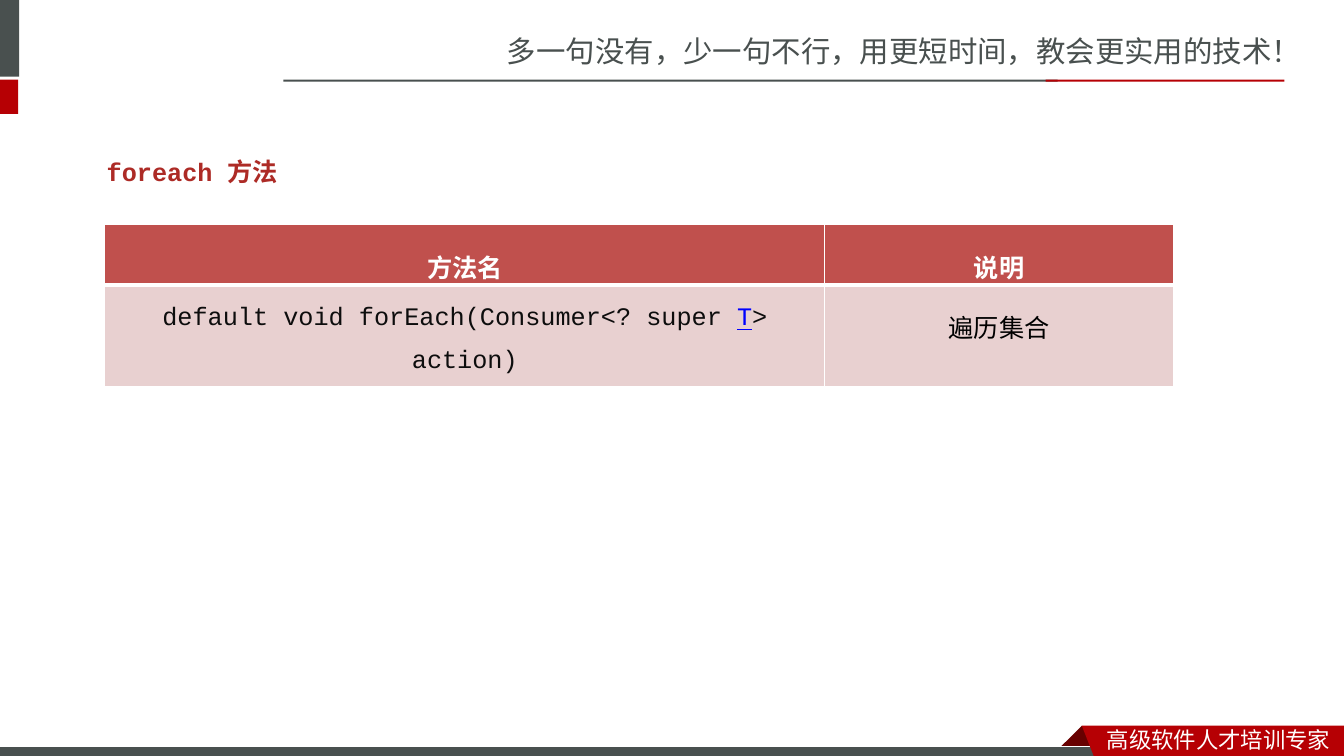
from lxml import etree
from pptx import Presentation
from pptx.dml.color import RGBColor
from pptx.enum.shapes import MSO_SHAPE
from pptx.enum.text import MSO_ANCHOR, PP_ALIGN
from pptx.oxml.ns import qn
from pptx.util import Inches, Pt

RECTANGLE = MSO_SHAPE.RECTANGLE
TOP = MSO_ANCHOR.TOP
LEFT, CENTER = PP_ALIGN.LEFT, PP_ALIGN.CENTER

WHITE = RGBColor(0xFF, 0xFF, 0xFF)
BLACK = RGBColor(0, 0, 0)
INK = RGBColor(0x0D, 0x0D, 0x0D)
GREY = RGBColor(0x49, 0x50, 0x4F)
RED = RGBColor(0xB6, 0x00, 0x04)
DARK_RED = RGBColor(0x68, 0x00, 0x00)
HEADING_RED = RGBColor(0xAD, 0x2B, 0x26)
HEADER_FILL = RGBColor(0xC0, 0x50, 0x4D)
BODY_FILL = RGBColor(0xE8, 0xD0, 0xD0)
LINK_BLUE = RGBColor(0x00, 0x00, 0xFF)

CODE_FONT = "Courier New"
CHINESE_FONT = "Noto Sans CJK SC"


class SlideBuilder:
    def __init__(self, page):
        self.page = page

    def add_spans(self, para, spans, spacing=1, align=LEFT):
        """Fill a paragraph with (text, format) spans."""
        para.line_spacing = spacing
        para.alignment = align
        for text, style in spans:
            span = para.add_run()
            span.text = text
            values = dict(style)
            span.font.color.rgb = values.pop("color")
            for name, value in values.items():
                setattr(span.font, name, value)
            east_asian = etree.SubElement(span.font._element, qn("a:ea"))
            east_asian.set("typeface", CHINESE_FONT)

    def text(self, left, top, width, height, text, style, spacing=1):
        box = self.page.shapes.add_textbox(
            Inches(left), Inches(top), Inches(width), Inches(height))
        box.text_frame.word_wrap = False
        self.add_spans(box.text_frame.paragraphs[0], [(text, style)], spacing)

    def paint(self, shape, fill, line=None):
        shape.shadow.inherit = False
        shape.fill.solid()
        shape.fill.fore_color.rgb = fill
        if line is None:
            shape.line.fill.background()
        else:
            shape.line.color.rgb = line
            shape.line.width = Pt(0.75)

    def bar(self, left, top, width, height, fill, line=None):
        shape = self.page.shapes.add_shape(
            RECTANGLE, Inches(left), Inches(top), Inches(width), Inches(height))
        self.paint(shape, fill, line)

    def outline(self, points, fill):
        corners = [(Inches(x), Inches(y)) for x, y in points]
        builder = self.page.shapes.build_freeform(*corners[0])
        builder.add_line_segments(corners[1:], close=True)
        self.paint(builder.convert_to_shape(), fill)

    def borders(self, cell, widths):
        """Draw white cell borders, widths in points by side."""
        properties = cell._tc.get_or_add_tcPr()
        for index, (side, width) in enumerate(widths.items()):
            line = etree.Element(qn(f"a:ln{side}"), w=str(Pt(width)))
            fill = etree.SubElement(line, qn("a:solidFill"))
            etree.SubElement(fill, qn("a:srgbClr"), val=str(WHITE))
            properties.insert(index, line)

    def table(self, left, top, column_widths, row_height, rows):
        frame = self.page.shapes.add_table(
            len(rows), len(column_widths), Inches(left), Inches(top),
            Inches(sum(column_widths)), Inches(row_height * len(rows)))
        grid = frame.table
        for column, width in zip(grid.columns, column_widths):
            column.width = Inches(width)
        for row_index, (fill, top_line, bottom_line, cells) in enumerate(rows):
            for column_index, spans in enumerate(cells):
                cell = grid.cell(row_index, column_index)
                cell.vertical_anchor = TOP
                cell.fill.solid()
                cell.fill.fore_color.rgb = fill
                self.add_spans(cell.text_frame.paragraphs[0], spans, 1.5, CENTER)
                self.borders(cell, {"L": 1, "R": 1, "T": top_line, "B": bottom_line})


def main():
    deck = Presentation()
    deck.slide_width, deck.slide_height = Inches(13.33), Inches(7.5)
    slide = SlideBuilder(deck.slides.add_slide(deck.slide_layouts[6]))

    slogan = {"name": CHINESE_FONT, "size": Pt(21), "color": GREY}
    footer = {"name": CHINESE_FONT, "size": Pt(16), "color": WHITE}
    code = {"name": CODE_FONT, "size": Pt(18), "color": INK}
    header = {**code, "bold": True, "color": WHITE}
    heading = {**header, "color": HEADING_RED}
    link = {**code, "underline": True, "color": LINK_BLUE}

    slide.text(4.93, 0.28, 8.41, 0.47,
               "多一句没有，少一句不行，用更短时间，教会更实用的技术！", slogan)
    slide.bar(-0.06, 0, 0.25, 0.76, GREY)
    slide.bar(-0.06, 0.79, 0.24, 0.34, RED)
    slide.bar(2.81, 0.79, 7.68, 0.02, GREY)
    slide.bar(10.37, 0.79, 2.37, 0.02, RED)

    slide.outline([(10.73, 7.2), (10.95, 7.42), (10.94, 7.43),
                   (10.52, 7.43), (10.51, 7.42)], DARK_RED)
    slide.bar(-0.01, 7.41, 11, 0.12, GREY, WHITE)
    slide.outline([(10.73, 7.2), (13.33, 7.2), (13.33, 7.54), (10.86, 7.53)], RED)
    slide.text(10.88, 7.15, 2.45, 0.37, "高级软件人才培训专家", footer)

    slide.text(0.96, 1.2, 5.12, 0.63, "foreach 方法", heading, 2)
    signature = [("default void forEach(Consumer<? super ", code),
                 ("T", link), ("> action)", code)]
    slide.table(1.04, 2.23, [7.14, 3.46], 0.6, [
        (HEADER_FILL, 1, 3, [[("方法名", header)], [("说明", header)]]),
        (BODY_FILL, 3, 1, [signature, [("遍历集合", {**code, "color": BLACK})]]),
    ])
    deck.save("out.pptx")


if __name__ == "__main__":
    main()
